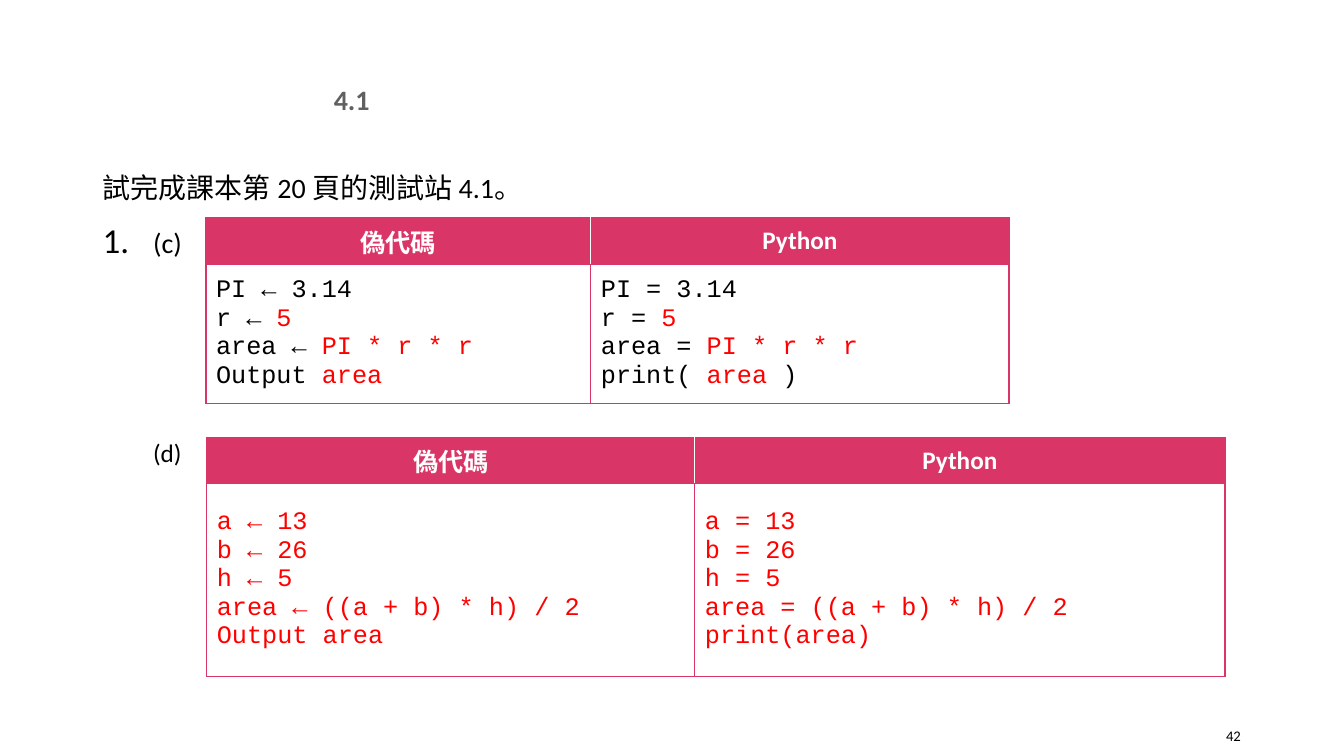
import lxml.etree
import pptx
import pptx.dml.color
import pptx.enum.text
import pptx.oxml
import pptx.oxml.ns
import pptx.util

Cm = pptx.util.Cm
Pt = pptx.util.Pt
ALIGN = pptx.enum.text.PP_ALIGN
ANCHOR = pptx.enum.text.MSO_ANCHOR
PINK, WHITE, BLACK, RED, GREY = "D93567", "FFFFFF", "000000", "FF0000", "606060"
CHINESE_FONT = "Noto Sans CJK TC"


def colour(value):
    return pptx.dml.color.RGBColor.from_string(value)


def add_span(para, text, size, ink=BLACK, font="Calibri", bold=False):
    span = para.add_run()
    span.text = text
    span.font.size = Pt(size)
    span.font.bold = bold
    span.font.name = font
    span.font.color.rgb = colour(ink)
    east_asian = pptx.oxml.parse_xml(
        f'<a:ea {pptx.oxml.ns.nsdecls("a")} typeface="{CHINESE_FONT}"/>')
    span.font._element.find(pptx.oxml.ns.qn("a:latin")).addnext(east_asian)


def add_text_box(page, left, top, width, height):
    box = page.shapes.add_textbox(Cm(left), Cm(top), Cm(width), Cm(height))
    box.text_frame.word_wrap = True
    return box.text_frame


def add_heading(page, left, top, width, height):
    title = page.shapes.title
    title.left, title.top, title.width, title.height = map(Cm, (left, top, width, height))
    title.text_frame.vertical_anchor = ANCHOR.MIDDLE
    para = title.text_frame.paragraphs[0]
    para.alignment = ALIGN.CENTER
    add_span(para, "4.1", 20, GREY, bold=True)


def add_question(page, left, top, width, height):
    frame = add_text_box(page, left, top, width, height)
    intro = frame.paragraphs[0]
    intro.line_spacing = 1.2
    add_span(intro, "試完成課本第 20 頁的測試站 4.1。", 20)
    para = frame.add_paragraph()
    para.line_spacing = 1.2
    para.space_before = Pt(10)
    properties = para._p.get_or_add_pPr()
    properties.set("marL", str(Cm(1.27)))
    properties.set("indent", str(Cm(-1.27)))
    for tag, attributes in (("buSzPct", {"val": "125000"}),
                            ("buFont", {"typeface": "Calibri"}),
                            ("buAutoNum", {"type": "arabicPeriod"})):
        lxml.etree.SubElement(properties, pptx.oxml.ns.qn(f"a:{tag}"), attributes)
    add_span(para, "(c)", 20)


def add_part_label(page, left, top, width, height):
    para = add_text_box(page, left, top, width, height).paragraphs[0]
    para.line_spacing = 1.2
    add_span(para, "(d)", 18)


def add_page_number(page, left, top, width, height):
    frame = add_text_box(page, left, top, width, height)
    frame.vertical_anchor = ANCHOR.MIDDLE
    para = frame.paragraphs[0]
    para.alignment = ALIGN.RIGHT
    add_span(para, "42", 10.5)


def style_cell(cell, fill, borders):
    cell.vertical_anchor = ANCHOR.MIDDLE
    properties = cell._tc.get_or_add_tcPr()
    for side in "LRTB":
        properties.append(pptx.oxml.parse_xml(
            f'<a:ln{side} {pptx.oxml.ns.nsdecls("a")} w="{Pt(1)}"><a:solidFill>'
            f'<a:srgbClr val="{borders.get(side, PINK)}"/></a:solidFill></a:ln{side}>'))
    if fill:
        cell.fill.solid()
        cell.fill.fore_color.rgb = colour(fill)
    else:
        cell.fill.background()


def add_code_table(page, left, top, widths, heights, programs):
    table = page.shapes.add_table(2, 2, Cm(left), Cm(top),
                                  Cm(sum(widths)), Cm(sum(heights))).table
    for row, height in zip(table.rows, heights):
        row.height = Cm(height)
    headers = (("偽代碼", CHINESE_FONT, "R"), ("Python", "Calibri", "L"))
    for index, (header, font, inner_side) in enumerate(headers):
        table.columns[index].width = Cm(widths[index])
        cell = table.cell(0, index)
        style_cell(cell, PINK, {inner_side: WHITE})
        para = cell.text_frame.paragraphs[0]
        para.alignment = ALIGN.CENTER
        add_span(para, header, 18, WHITE, font, True)
        cell = table.cell(1, index)
        style_cell(cell, None, {})
        frame = cell.text_frame
        for number, line in enumerate(programs[index]):
            para = frame.add_paragraph() if number else frame.paragraphs[0]
            for text, ink in line:
                add_span(para, text, 18, ink, "Courier New")


def answer_lines(*lines):
    return [[(line, RED)] for line in lines]


def circle_program(sign, output):
    return [
        [(f"PI {sign} 3.14", BLACK)],
        [(f"r {sign} ", BLACK), ("5", RED)],
        [(f"area {sign} ", BLACK), ("PI * r * r", RED)],
        output,
    ]


def trapezium_program(sign, output):
    return answer_lines(f"a {sign} 13", f"b {sign} 26", f"h {sign} 5",
                        f"area {sign} ((a + b) * h) / 2", output)


def main():
    deck = pptx.Presentation()
    deck.slide_width, deck.slide_height = Cm(33.87), Cm(19.05)
    page = deck.slides.add_slide(deck.slide_layouts[5])
    add_question(page, 2.34, 4.01, 29.2, 2.8)
    add_part_label(page, 3.61, 10.75, 1.6, 1.2)
    add_page_number(page, 29.39, 18.03, 2.13, 1.02)
    add_heading(page, 7.67, 2.11, 2.39, 0.79)
    add_code_table(page, 5.19, 5.49, (9.7, 10.54), (1.17, 3.5), (
        circle_program("←", [("Output ", BLACK), ("area", RED)]),
        circle_program("=", [("print( ", BLACK), ("area", RED), (" )", BLACK)])))
    add_code_table(page, 5.21, 11.02, (12.3, 13.36), (1.17, 4.85), (
        trapezium_program("←", "Output area"),
        trapezium_program("=", "print(area)")))
    deck.save("out.pptx")


if __name__ == "__main__":
    main()
